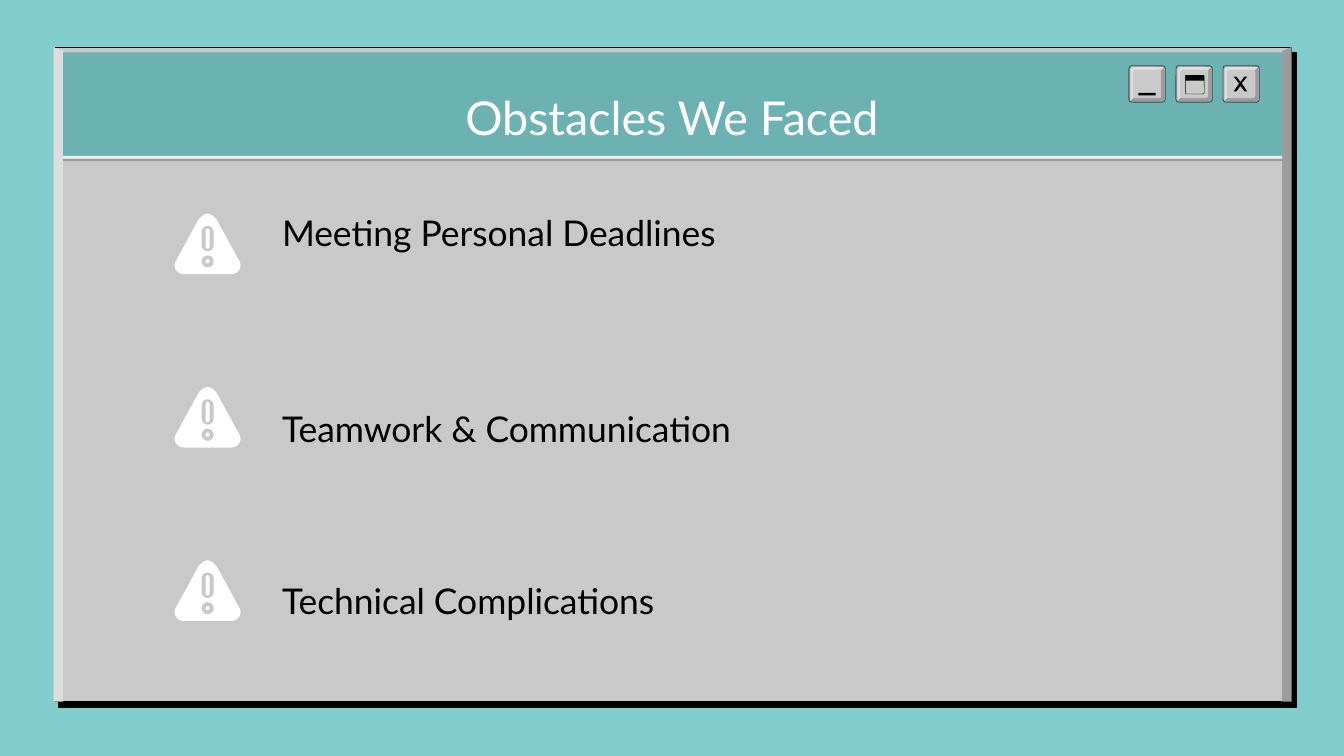
from lxml import etree
from pptx import Presentation
from pptx.dml.color import RGBColor
from pptx.enum.shapes import MSO_SHAPE as Shape
from pptx.enum.text import MSO_ANCHOR, PP_ALIGN
from pptx.oxml import parse_xml
from pptx.oxml.ns import nsdecls, qn
from pptx.util import Inches, Pt

COLORS = {
    "background": "82CECE", "title_bar": "6DB2B2", "face": "C9C9C9",
    "light": "DDDDDD", "dark": "9C9C9C", "highlight": "EDEDED",
    "black": "000000", "white": "FFFFFF",
}
FONT = "Lato"
OBSTACLES = [  # wording and top of its text box
    ("Meeting Personal Deadlines", 1.47),
    ("Teamwork & Communication", 2.93),
    ("Technical Complications", 4.21),
]


def rgb(name):
    return RGBColor.from_string(COLORS[name])


def style(shape, fill=None, line=None, width=0.21):
    shape.shadow.inherit = False
    if fill:
        shape.fill.solid()
        shape.fill.fore_color.rgb = rgb(fill)
    else:
        shape.fill.background()
    if line:
        shape.line.color.rgb = rgb(line)
        shape.line.width = Pt(width)
    else:
        shape.line.fill.background()
    return shape


def add_box(slide, left, top, width, height, fill=None, line=None, radius=0, line_width=0.21):
    kind = Shape.ROUNDED_RECTANGLE if radius else Shape.RECTANGLE
    shape = slide.shapes.add_shape(
        kind, Inches(left), Inches(top), Inches(width), Inches(height))
    if radius:
        shape.adjustments[0] = radius / min(width, height)
    return style(shape, fill, line, line_width)


def add_polygon(slide, left, top, points, fill):
    corners = [(Inches(left + x), Inches(top + y)) for x, y in points]
    builder = slide.shapes.build_freeform(*corners[0], scale=1.0)
    builder.add_line_segments(corners[1:], close=True)
    return style(builder.convert_to_shape(), fill)


def add_text(slide, left, top, width, height, text, size, color, align=PP_ALIGN.LEFT):
    frame = slide.shapes.add_textbox(
        Inches(left), Inches(top), Inches(width), Inches(height)).text_frame
    frame.word_wrap = True
    frame.vertical_anchor = MSO_ANCHOR.TOP
    frame.margin_left = frame.margin_right = Inches(0.1)
    frame.margin_top = frame.margin_bottom = Inches(0.1)
    paragraph = frame.paragraphs[0]
    paragraph.text = text
    paragraph.alignment = align
    paragraph.font.name = FONT
    paragraph.font.size = Pt(size)
    paragraph.font.color.rgb = rgb(color)


def add_hard_shadow(shape, distance, degrees):
    effects = shape._element.spPr.find(qn("a:effectLst"))
    shadow = parse_xml(
        f'<a:outerShdw {nsdecls("a")} blurRad="0" dist="{Pt(distance)}" '
        f'dir="{degrees * 60000}" algn="bl" rotWithShape="0"/>')
    etree.SubElement(shadow, qn("a:srgbClr"), val=COLORS["black"])
    effects.append(shadow)


def curve(start, control_1, control_2, end, steps=12):
    """Points along a cubic curve."""
    weights = [((1 - t) ** 3, 3 * t * (1 - t) ** 2, 3 * t * t * (1 - t), t ** 3)
               for t in (step / steps for step in range(steps + 1))]
    controls = (start, control_1, control_2, end)
    return [tuple(sum(w * point[axis] for w, point in zip(row, controls)) for axis in (0, 1))
            for row in weights]


def add_window(slide, left, top, width, height):
    bevel = 0.07
    body = add_box(slide, left, top, width, height, "face", "black", line_width=0.25)
    add_hard_shadow(body, 3.8, 50)
    # Side bevels
    add_polygon(slide, left, top,
                [(0, 0), (0, height), (bevel, height), (bevel, 0.03)], "light")
    add_polygon(slide, left + width, top,
                [(0, 0), (-bevel, 0.03), (-bevel, height), (0, height)], "dark")
    # Title bar and its double rule
    inner_left, inner_width = left + bevel, width - 2 * bevel
    add_box(slide, inner_left, top + 0.04, inner_width, 0.78, "title_bar")
    add_box(slide, inner_left, top + 0.83, inner_width, 0.02, "dark")
    add_box(slide, inner_left, top + 0.81, inner_width, 0.02, "highlight")


def add_window_button(slide, left, top, symbol):
    size = 0.27
    add_box(slide, left, top, size, size, "dark", "black", radius=0.02)
    add_polygon(slide, left, top,
                [(0.02, 0.01), (0.26, 0.01), (0.01, 0.26), (0.01, 0.02)], "light")
    add_box(slide, left + 0.03, top + 0.03, 0.21, 0.21, "face", radius=0.02)
    if symbol == "minimize":
        add_box(slide, left + 0.07, top + 0.2, 0.13, 0.02, "black")
    elif symbol == "maximize":
        add_box(slide, left + 0.07, top + 0.07, 0.14, 0.14, line="black", radius=0.01)
        add_box(slide, left + 0.07, top + 0.07, 0.14, 0.04, "black")
    else:
        upper = [(0.16, 0.08), (0.13, 0.12), (0.1, 0.08), (0.08, 0.08), (0.12, 0.13)]
        lower = [(0.08, 0.19), (0.1, 0.19), (0.13, 0.15), (0.16, 0.19),
                 (0.18, 0.19), (0.14, 0.13), (0.18, 0.08)]
        add_polygon(slide, left, top, upper + lower, "black")


def add_warning_icon(slide, left, top):
    width, height = 0.53, 0.45
    # Rounded triangle, mirrored about its middle
    left_side = (curve((0.09, height), (0.04, height), (0, 0.4), (0.03, 0.35))
                 + curve((0.2, 0.04), (0.22, 0.02), (0.24, 0), (width / 2, 0)))
    right_side = [(width - x, y) for x, y in reversed(left_side)]
    add_polygon(slide, left, top, left_side + right_side, "white")
    # Exclamation mark: grey shapes with white cores
    for mark_width, mark_top, mark_height, fill in [
        (0.09, 0.09, 0.19, "face"), (0.03, 0.11, 0.15, "white"),
        (0.09, 0.31, 0.09, "face"), (0.03, 0.34, 0.03, "white"),
    ]:
        add_box(slide, left + (width - mark_width) / 2, top + mark_top,
                mark_width, mark_height, fill, radius=mark_width / 2)


def main():
    presentation = Presentation()
    presentation.slide_width = Inches(10)
    presentation.slide_height = Inches(5.625)  # 16:9
    slide = presentation.slides.add_slide(presentation.slide_layouts[6])
    slide.background.fill.solid()
    slide.background.fill.fore_color.rgb = rgb("background")

    add_window(slide, 0.4, 0.35, 9.21, 4.87)
    add_text(slide, 0.78, 0.56, 8.44, 0.56, "Obstacles We Faced", 25, "white", PP_ALIGN.CENTER)
    for column, symbol in enumerate(["minimize", "maximize", "close"]):
        add_window_button(slide, 8.4 + column * 0.35, 0.49, symbol)
    for row, (text, text_top) in enumerate(OBSTACLES):
        add_warning_icon(slide, 1.28, 1.59 + row * 1.29)
        add_text(slide, 2, text_top, 6.72, 0.36, text, 19, "black")

    presentation.save("out.pptx")


if __name__ == "__main__":
    main()
